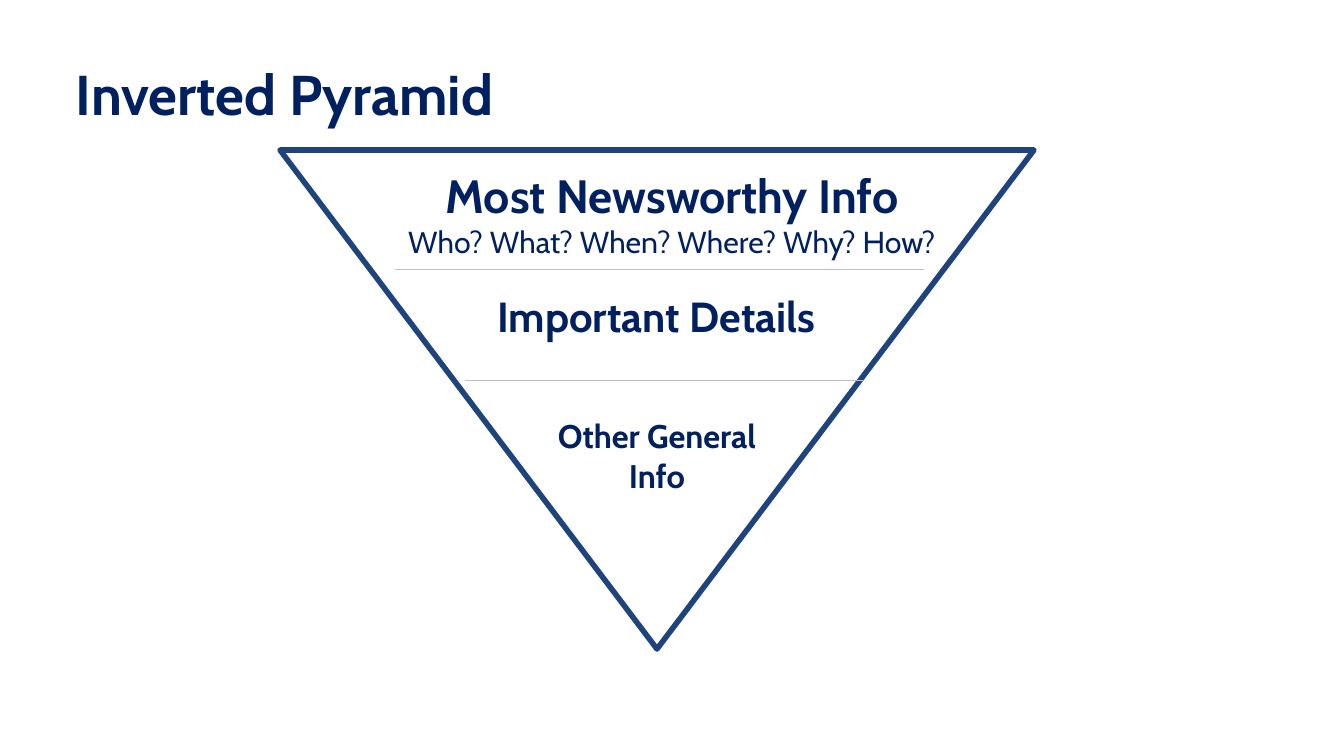
"""Build a slide showing the inverted pyramid of news writing."""
import pptx
import pptx.dml.color
import pptx.enum.shapes
import pptx.enum.text
import pptx.oxml.ns
import pptx.oxml.xmlchemy
import pptx.util

NAVY = pptx.dml.color.RGBColor(0x00, 0x20, 0x60)
BLUE = pptx.dml.color.RGBColor(0x1F, 0x44, 0x7D)
GREY = pptx.dml.color.RGBColor(0xBF, 0xBF, 0xBF)
FONT = "Cabin"
SCALE = 914400 / 84


def px(*sizes):
    """Turn pixel lengths into EMU."""
    return [pptx.util.Emu(round(size * SCALE)) for size in sizes]


def style(line, size, bold, align):
    """Format one paragraph and its runs."""
    line.alignment = align
    for run in line.runs:
        font = run.font
        font.name = FONT
        font.size = pptx.util.Pt(size)
        font.bold = bold
        font.color.rgb = NAVY


def add_title(slide, box, text):
    """Fill the title placeholder within the box."""
    title = slide.shapes.title
    title.left, title.top, title.width, title.height = px(*box)
    frame = title.text_frame
    frame.margin_left = frame.margin_top = 0
    frame.margin_right = frame.margin_bottom = 0
    frame.auto_size = pptx.enum.text.MSO_AUTO_SIZE.NONE
    frame.vertical_anchor = pptx.enum.text.MSO_ANCHOR.TOP
    frame.text = text
    style(frame.paragraphs[0], 48, True, pptx.enum.text.PP_ALIGN.LEFT)


def add_label(slide, box, lines):
    """Add centred lines of text, each with its size and weight."""
    frame = slide.shapes.add_textbox(*px(*box)).text_frame
    frame.word_wrap = True
    frame.text = "\n".join(text for text, size, bold in lines)
    for line, (text, size, bold) in zip(frame.paragraphs, lines):
        style(line, size, bold, pptx.enum.text.PP_ALIGN.CENTER)


def add_rule(slide, start, end, y):
    """Add a thin level divider."""
    kind = pptx.enum.shapes.MSO_CONNECTOR.STRAIGHT
    rule = slide.shapes.add_connector(kind, *px(start, y, end, y))
    rule.line.color.rgb = GREY
    rule.line.width = pptx.util.Pt(0.5)
    props = rule._element.spPr
    props.append(pptx.oxml.xmlchemy.OxmlElement("a:effectLst"))


def add_pyramid(slide, box):
    """Draw the upturned triangle with its labels and dividers."""
    left, top, width, height = box
    kind = pptx.enum.shapes.MSO_SHAPE.ISOSCELES_TRIANGLE
    shape = slide.shapes.add_shape(kind, *px(*box))
    shape.rotation = 180
    shape.shadow.inherit = False
    shape.fill.background()
    shape.line.color.rgb = BLUE
    shape.line.width = pptx.util.Pt(4.75)
    edge = shape._element.spPr.find(pptx.oxml.ns.qn("a:ln"))
    edge.append(pptx.oxml.xmlchemy.OxmlElement("a:round"))

    labels = [
        ((90, 13, 604, 102), [
            ("Most Newsworthy Info", 40, True),
            ("Who? What? When? Where? Why? How?", 26, False),
        ]),
        ((158, 136, 437, 60), [("Important Details", 36, True)]),
        ((251, 262, 252, 87), [("Other General Info", 28, True)]),
    ]
    for (x, y, wide, high), lines in labels:
        add_label(slide, (left + x, top + y, wide, high), lines)

    for start, end, y in [(185, 583, 230), (115, 644, 119)]:
        add_rule(slide, left + start, left + end, top + y)


def main():
    """Create and save the deck."""
    deck = pptx.Presentation()
    deck.slide_width, deck.slide_height = px(1344, 756)
    slide = deck.slides.add_slide(deck.slide_layouts[5])
    add_pyramid(slide, (280, 150, 754, 499))
    add_title(slide, (76, 60, 1194, 68), "Inverted Pyramid")
    deck.save("out.pptx")


if __name__ == "__main__":
    main()
